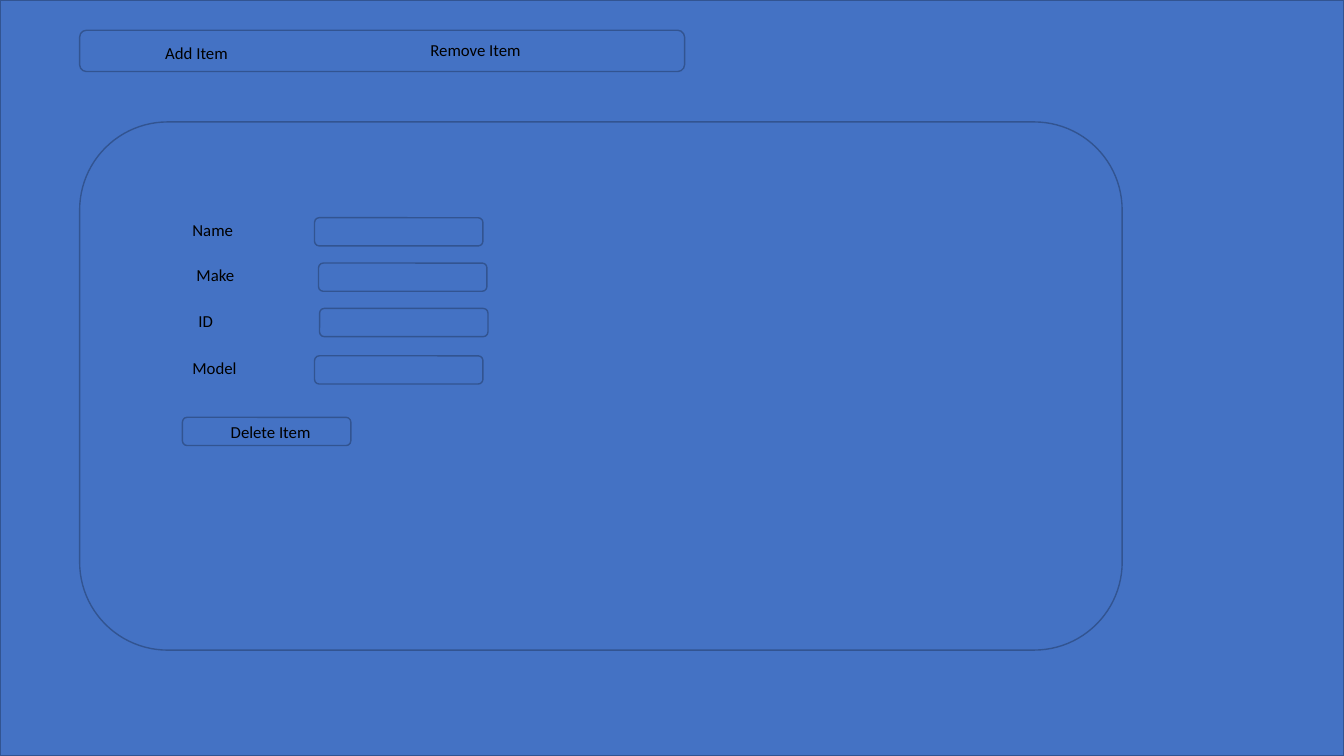
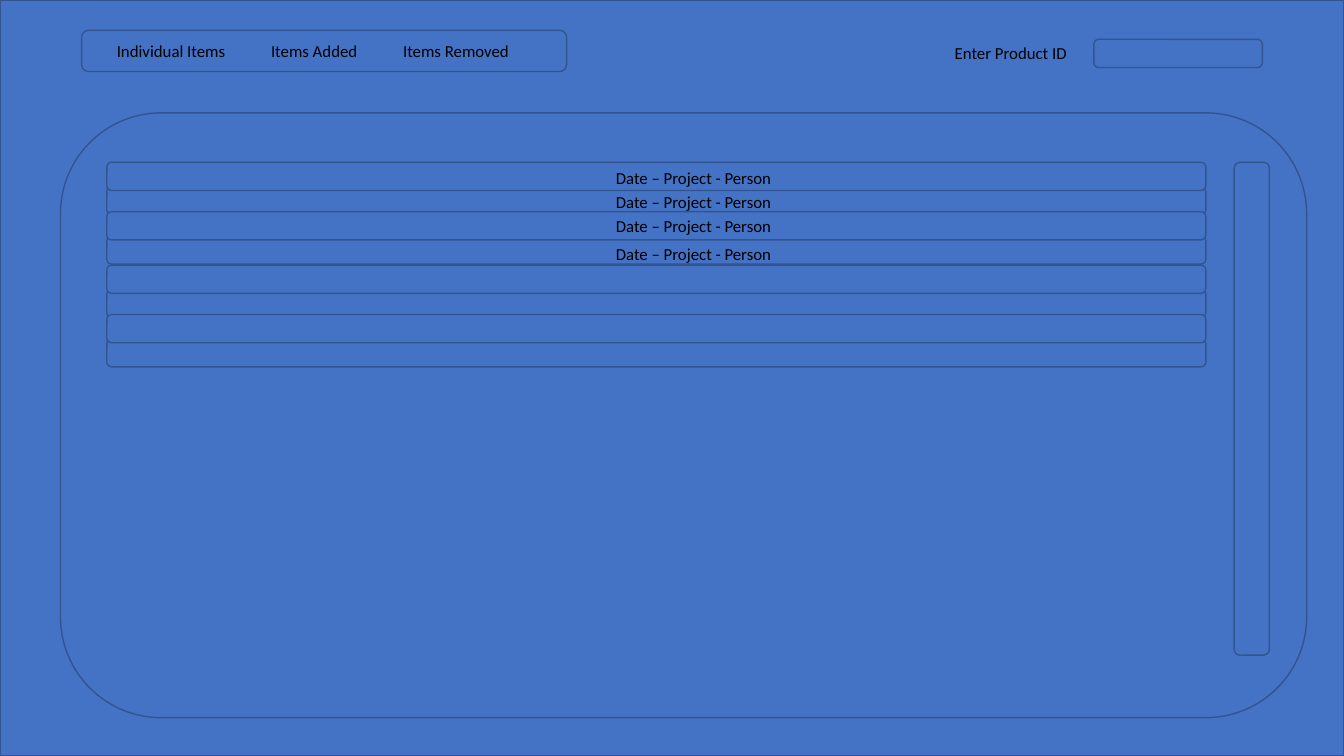
import pptx
import pptx.util
import pptx.dml.color
import pptx.enum.shapes
import pptx.enum.text

Inches = pptx.util.Inches
SHAPE = pptx.enum.shapes.MSO_SHAPE
BLUE, OUTLINE, BLACK = "4472C4", "325491", "000000"
FIELD_W, FIELD_H, LABEL_H = 1.67, 0.28, 0.3


def box(s, x, y, w, h, kind=SHAPE.ROUNDED_RECTANGLE):
    sp = s.shapes.add_shape(kind, Inches(x), Inches(y), Inches(w), Inches(h))
    sp.shadow.inherit = False
    sp.fill.solid()
    sp.fill.fore_color.rgb = pptx.dml.color.RGBColor.from_string(BLUE)
    sp.line.color.rgb = pptx.dml.color.RGBColor.from_string(OUTLINE)
    sp.line.width = pptx.util.Pt(1)


def label(s, x, y, w, text, h=LABEL_H):
    sp = s.shapes.add_textbox(Inches(x), Inches(y), Inches(w), Inches(h))
    tf = sp.text_frame
    tf.word_wrap = False
    tf.auto_size = pptx.enum.text.MSO_AUTO_SIZE.SHAPE_TO_FIT_TEXT
    r = tf.paragraphs[0].add_run()
    r.text = text
    r.font.size = pptx.util.Pt(12)
    r.font.name = "Calibri"
    r.font.color.rgb = pptx.dml.color.RGBColor.from_string(BLACK)


prs = pptx.Presentation()
prs.slide_width, prs.slide_height = Inches(13.33), Inches(7.5)

# Both slides: full-size backdrop, main panel and menu bar
panels = [(0.79, 1.21, 10.34, 5.24), (0.6, 1.12, 12.36, 6)]
menu_bars = [(0.79, 0.3, 6, 0.41), (0.81, 0.3, 4.81, 0.41)]
for panel, menu_bar in zip(panels, menu_bars):
    s = prs.slides.add_slide(prs.slide_layouts[6])
    box(s, 0, 0, 13.33, 7.5, SHAPE.RECTANGLE)
    box(s, *panel)
    box(s, *menu_bar)
form, history = prs.slides

# Slide 1: menu
label(form, 1.54, 0.37, 0.83, "Add Item")
label(form, 4.17, 0.35, 1.11, "Remove Item")

# Slide 1: form fields (label x, y, width, text, field x)
for x, y, w, text, field_x in [
    (1.81, 2.13, 0.61, "Name", 3.12),
    (1.85, 2.58, 0.58, "Make", 3.16),
    (1.87, 3.03, 0.35, "ID", 3.17),
    (1.81, 3.5, 0.65, "Model", 3.12),
]:
    label(form, x, y, w, text)
    box(form, field_x, y + 0.03, FIELD_W, FIELD_H)

# Slide 1: delete button
box(form, 1.81, 4.14, FIELD_W, FIELD_H)
label(form, 2.19, 4.13, 1, "Delete Item")

# Slide 2: menu
for x, w, text in [(1.06, 1.29, "Individual Items"),
                   (2.59, 1.07, "Items Added"),
                   (3.9, 1.26, "Items Removed")]:
    label(history, x, 0.36, w, text)

# Slide 2: scroll bar
box(history, 12.24, 1.61, 0.35, 4.89)

# Slide 2: list rows in pairs, the upper row overlapping the lower one
for y in (1.61, 2.1, 2.63, 3.12):
    for row_y in (y + 0.24, y):
        box(history, 1.06, row_y, 10.9, FIELD_H)
for y in (1.61, 1.85, 2.09, 2.37):
    label(history, 6.01, y, 1.76, "Date – Project - Person", FIELD_H)

# Slide 2: product search
box(history, 10.85, 0.39, FIELD_W, FIELD_H)
label(history, 9.37, 0.37, 1.32, "Enter Product ID")

prs.save("out.pptx")
